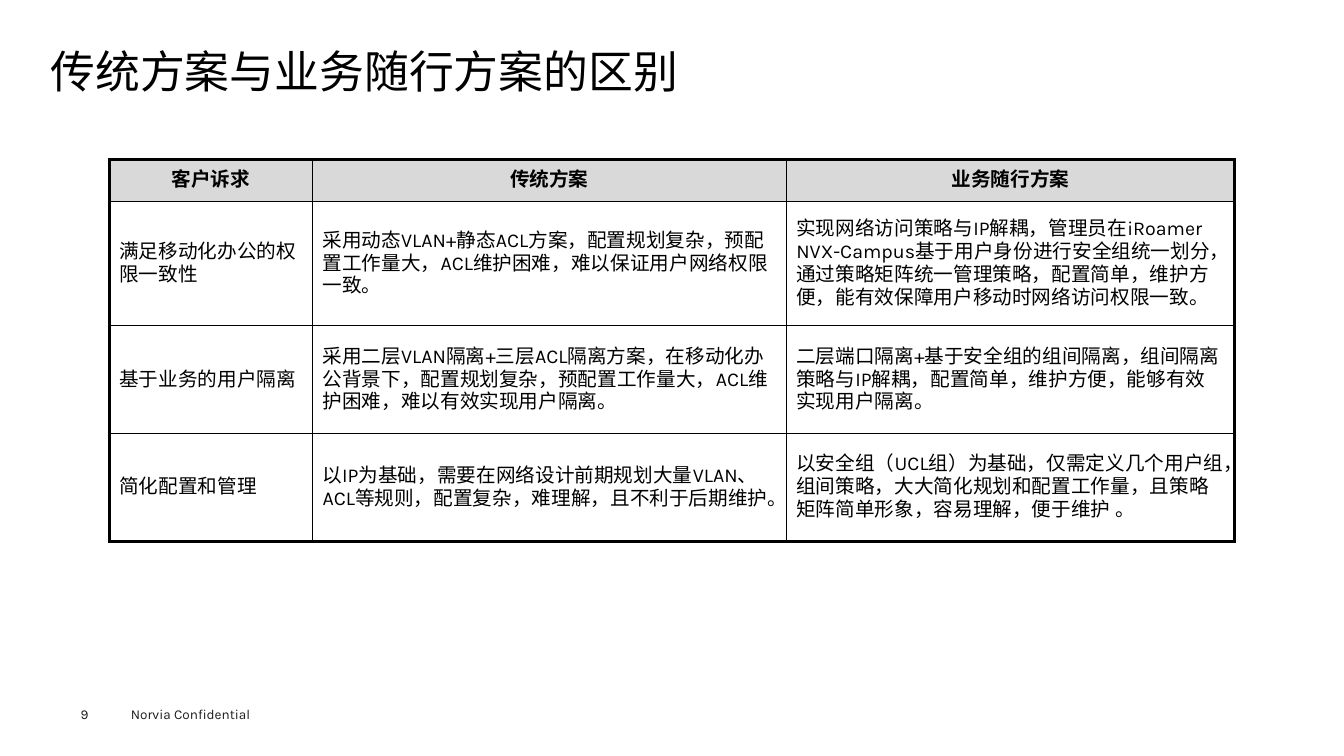
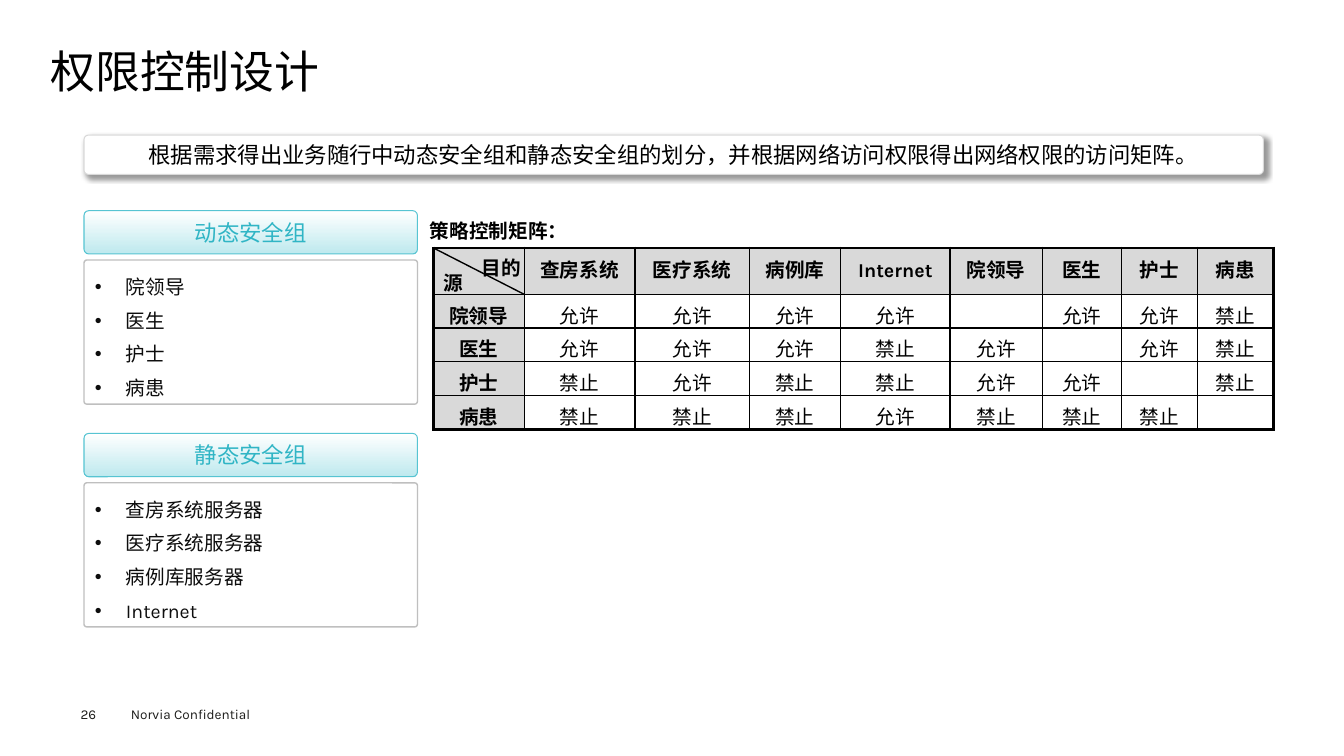
import pptx
import pptx.dml.color
import pptx.enum.lang
import pptx.enum.shapes
import pptx.enum.text
import pptx.oxml
import pptx.oxml.ns
import pptx.util
from lxml import etree

RGBColor = pptx.dml.color.RGBColor
ALIGN = pptx.enum.text.PP_ALIGN
ANCHOR = pptx.enum.text.MSO_ANCHOR

BLACK = RGBColor(0x00, 0x00, 0x00)
WHITE = RGBColor(0xFF, 0xFF, 0xFF)
FOOTER_INK = RGBColor(0x1D, 0x1D, 0x1B)
LIST_INK = RGBColor(0x0D, 0x0D, 0x0D)
HEADER_GREY = RGBColor(0xD9, 0xD9, 0xD9)
FRAME_GREY = RGBColor(0xBF, 0xBF, 0xBF)
TEAL = RGBColor(0x30, 0xB5, 0xC5)
TEAL_LINE = RGBColor(0x56, 0xC4, 0xD2)
TEAL_PALE = RGBColor(0xBE, 0xE9, 0xEE)

FONT = "Karla"
WIDTH = pptx.util.Inches(13.33)
HEIGHT = pptx.util.Inches(7.5)
COLUMN = WIDTH / 16
ROW = HEIGHT / 15
LOOSE_LINE = pptx.util.Pt(24)
THIN, THICK = 1, 2.25

COMPARISON = [
    ["客户诉求", "传统方案", "业务随行方案"],
    ["满足移动化办公的权限一致性",
     "采用动态VLAN+静态ACL方案，配置规划复杂，预配置工作量大，ACL维护困难，难以保证用户网络权限一致。",
     "实现网络访问策略与IP解耦，管理员在iRoamer NVX-Campus基于用户身份进行安全组统一划分，"
     "通过策略矩阵统一管理策略，配置简单，维护方便，能有效保障用户移动时网络访问权限一致。"],
    ["基于业务的用户隔离",
     "采用二层VLAN隔离+三层ACL隔离方案，在移动化办公背景下，配置规划复杂，预配置工作量大，"
     "ACL维护困难，难以有效实现用户隔离。",
     "二层端口隔离+基于安全组的组间隔离，组间隔离策略与IP解耦，配置简单，维护方便，能够有效实现用户隔离。"],
    ["简化配置和管理",
     "以IP为基础，需要在网络设计前期规划大量VLAN、ACL等规则，配置复杂，难理解，且不利于后期维护。",
     "以安全组（UCL组）为基础，仅需定义几个用户组，组间策略，大大简化规划和配置工作量，"
     "且策略矩阵简单形象，容易理解，便于维护 。"],
]

DYNAMIC_GROUPS = ["院领导", "医生", "护士", "病患"]
STATIC_GROUPS = ["查房系统服务器", "医疗系统服务器", "病例库服务器", "Internet"]
ALLOW, DENY = "允许", "禁止"
MATRIX = [
    ["", "查房系统", "医疗系统", "病例库", "Internet"] + DYNAMIC_GROUPS,
    ["院领导", ALLOW, ALLOW, ALLOW, ALLOW, "", ALLOW, ALLOW, DENY],
    ["医生", ALLOW, ALLOW, ALLOW, DENY, ALLOW, "", ALLOW, DENY],
    ["护士", DENY, ALLOW, DENY, DENY, ALLOW, ALLOW, "", DENY],
    ["病患", DENY, DENY, DENY, ALLOW, DENY, DENY, DENY, ""],
]


def columns(count):
    return round(count * COLUMN)


def rows(count):
    return round(count * ROW)


def area(left, top, width, height):
    return columns(left), rows(top), columns(width), rows(height)


def format_text(text_frame, size, color=BLACK, bold=False, align=ALIGN.LEFT, spacing=None):
    for paragraph in text_frame.paragraphs:
        paragraph.alignment = align
        if spacing:
            paragraph.line_spacing = spacing
        for run in paragraph.runs:
            run.font.name = FONT
            run.font.size = pptx.util.Pt(size)
            run.font.bold = bold
            run.font.color.rgb = color
            run.font.language_id = pptx.enum.lang.MSO_LANGUAGE_ID.SIMPLIFIED_CHINESE
            east_asian = etree.SubElement(run.font._element, pptx.oxml.ns.qn("a:ea"))
            east_asian.set("typeface", FONT)


def clear_margins(holder):
    holder.margin_left = holder.margin_right = holder.margin_top = holder.margin_bottom = 0


def add_label(slide, text, box, size, color=BLACK, bold=False, spacing=None, inset=True):
    text_frame = slide.shapes.add_textbox(*box).text_frame
    text_frame.word_wrap = True
    text_frame.margin_right = 0
    if not inset:
        clear_margins(text_frame)
    text_frame.text = text
    format_text(text_frame, size, color, bold, spacing=spacing)


def add_slide(presentation, title, number):
    slide = presentation.slides.add_slide(presentation.slide_layouts[5])
    placeholder = slide.shapes.title
    placeholder.left, placeholder.top, placeholder.width, placeholder.height = area(0.6, 0.98, 14.77, 1.08)
    text_frame = placeholder.text_frame
    clear_margins(text_frame)
    text_frame.vertical_anchor = ANCHOR.TOP
    text_frame.auto_size = pptx.enum.text.MSO_AUTO_SIZE.NONE
    text_frame.text = title
    format_text(text_frame, 32, spacing=0.9)
    add_label(slide, "Norvia Confidential", area(1.44, 13.9, 1.92, 0.54), 9.7, FOOTER_INK)
    add_label(slide, str(number), area(0.96, 14, 0.66, 0.32), 9.7, FOOTER_INK, inset=False)
    return slide


def set_borders(cell, widths):
    properties = cell._tc.get_or_add_tcPr()
    for index, (side, width) in enumerate(widths.items()):
        properties.insert(index, pptx.oxml.parse_xml(
            f'<a:ln{side} {pptx.oxml.ns.nsdecls("a")} w="{pptx.util.Pt(width)}">'
            f'<a:solidFill><a:srgbClr val="{BLACK}"/></a:solidFill></a:ln{side}>'))


def add_grid_table(slide, contents, left, top, widths, heights, matrix=False):
    last_row, last_column = len(heights) - 1, len(widths) - 1
    table = slide.shapes.add_table(
        len(heights), len(widths), *area(left, top, sum(widths), sum(heights))).table
    table.first_row = table.horz_banding = False
    for column, width in zip(table.columns, widths):
        column.width = columns(width)
    for row, height in zip(table.rows, heights):
        row.height = rows(height)
    for row_index, texts in enumerate(contents):
        for column_index, text in enumerate(texts):
            cell = table.cell(row_index, column_index)
            top_row = row_index == 0
            header = top_row or (matrix and column_index == 0)
            cell.fill.solid()
            cell.fill.fore_color.rgb = HEADER_GREY if header else WHITE
            cell.vertical_anchor = ANCHOR.MIDDLE
            if matrix:
                clear_margins(cell)
            cell.text_frame.text = text
            format_text(cell.text_frame, 14, bold=header,
                        align=ALIGN.CENTER if header or matrix else ALIGN.LEFT,
                        spacing=LOOSE_LINE if matrix and not top_row else None)
            set_borders(cell, {
                "L": THICK if column_index == 0 else THIN,
                "R": THICK if column_index == last_column else THIN,
                "T": THICK if top_row else THIN,
                "B": THICK if row_index == last_row else THIN,
            })


def add_panel(slide, text, box, line_color, line_width, rounding=0.11):
    shape = slide.shapes.add_shape(pptx.enum.shapes.MSO_SHAPE.ROUNDED_RECTANGLE, *box)
    shape.adjustments[0] = rounding
    shape.line.color.rgb = line_color
    shape.line.width = pptx.util.Pt(line_width)
    shape.shadow.inherit = False
    shape.text_frame.word_wrap = True
    shape.text_frame.vertical_anchor = ANCHOR.MIDDLE
    shape.text_frame.text = text
    return shape


def add_banner(slide, text, box):
    shape = add_panel(slide, text, box, HEADER_GREY, 0.75)
    shape.fill.solid()
    shape.fill.fore_color.rgb = WHITE
    shape.text_frame.vertical_anchor = ANCHOR.TOP
    format_text(shape.text_frame, 16, align=ALIGN.CENTER)
    effects = shape._element.spPr.find(pptx.oxml.ns.qn("a:effectLst"))
    effects.append(pptx.oxml.parse_xml(
        f'<a:outerShdw {pptx.oxml.ns.nsdecls("a")} blurRad="{pptx.util.Pt(4)}" '
        f'dist="{pptx.util.Pt(3)}" dir="2700000" algn="tl" rotWithShape="0">'
        f'<a:srgbClr val="{BLACK}"><a:alpha val="40000"/></a:srgbClr></a:outerShdw>'))


def add_group_card(slide, heading, members, top):
    header = add_panel(slide, heading, area(1, top, 3.97, 0.86), TEAL_LINE, 0.75)
    header.fill.gradient()
    header.fill.gradient_angle = 270
    for stop, color, position in zip(header.fill.gradient_stops, (WHITE, TEAL_PALE), (0, 1)):
        stop.color.rgb = color
        stop.position = position
    format_text(header.text_frame, 16, TEAL, align=ALIGN.CENTER)

    body = add_panel(slide, "\n".join(members), area(1, top + 0.98, 3.97, 2.86), FRAME_GREY, 1, 0.02)
    body.fill.background()
    indent = pptx.util.Inches(0.31)
    for paragraph in body.text_frame.paragraphs:
        properties = paragraph._p.get_or_add_pPr()
        properties.set("marL", str(indent))
        properties.set("indent", str(-indent))
        etree.SubElement(properties, pptx.oxml.ns.qn("a:buFont")).set("typeface", "Arial")
        etree.SubElement(properties, pptx.oxml.ns.qn("a:buChar")).set("char", "•")
    format_text(body.text_frame, 14, LIST_INK, spacing=LOOSE_LINE)


def add_line(slide, left, top, right, bottom):
    connector = slide.shapes.add_connector(
        pptx.enum.shapes.MSO_CONNECTOR.STRAIGHT,
        columns(left), rows(top), columns(right), rows(bottom))
    connector.line.color.rgb = BLACK
    connector.line.width = pptx.util.Pt(THIN)
    etree.SubElement(connector._element.spPr, pptx.oxml.ns.qn("a:effectLst"))


def build_comparison(presentation):
    slide = add_slide(presentation, "传统方案与业务随行方案的区别", 9)
    add_grid_table(slide, COMPARISON, 1.3, 3.16, [2.42, 5.64, 5.34], [0.84, 2.46, 2.14, 2.14])


def build_access_design(presentation):
    slide = add_slide(presentation, "权限控制设计", 26)
    add_banner(slide, "根据需求得出业务随行中动态安全组和静态安全组的划分，并根据网络访问权限得出网络权限的访问矩阵。",
               area(1, 2.68, 14.04, 0.78))
    add_group_card(slide, "动态安全组", DYNAMIC_GROUPS, 4.18)
    add_group_card(slide, "静态安全组", STATIC_GROUPS, 8.6)

    left, top = 5.16, 4.92
    widths = [1.08, 1.32, 1.36, 1.09, 1.3, 1.1, 0.94, 0.91, 0.9]
    heights = [0.92] + [0.67] * 4
    add_grid_table(slide, MATRIX, left, top, widths, heights, matrix=True)
    add_line(slide, left, top, left + widths[0], top + heights[0])
    for text, label_left, label_top, width in [
        ("源", left, 5.08, 0.41),
        ("目的", 5.62, 4.78, 0.84),
        ("策略控制矩阵：", 5, 4.04, 1.84),
    ]:
        add_label(slide, text, area(label_left, label_top, width, 0.88), 14, bold=True, spacing=LOOSE_LINE)


def main():
    presentation = pptx.Presentation()
    presentation.slide_width = WIDTH
    presentation.slide_height = HEIGHT
    build_comparison(presentation)
    build_access_design(presentation)
    presentation.save("out.pptx")


if __name__ == "__main__":
    main()
